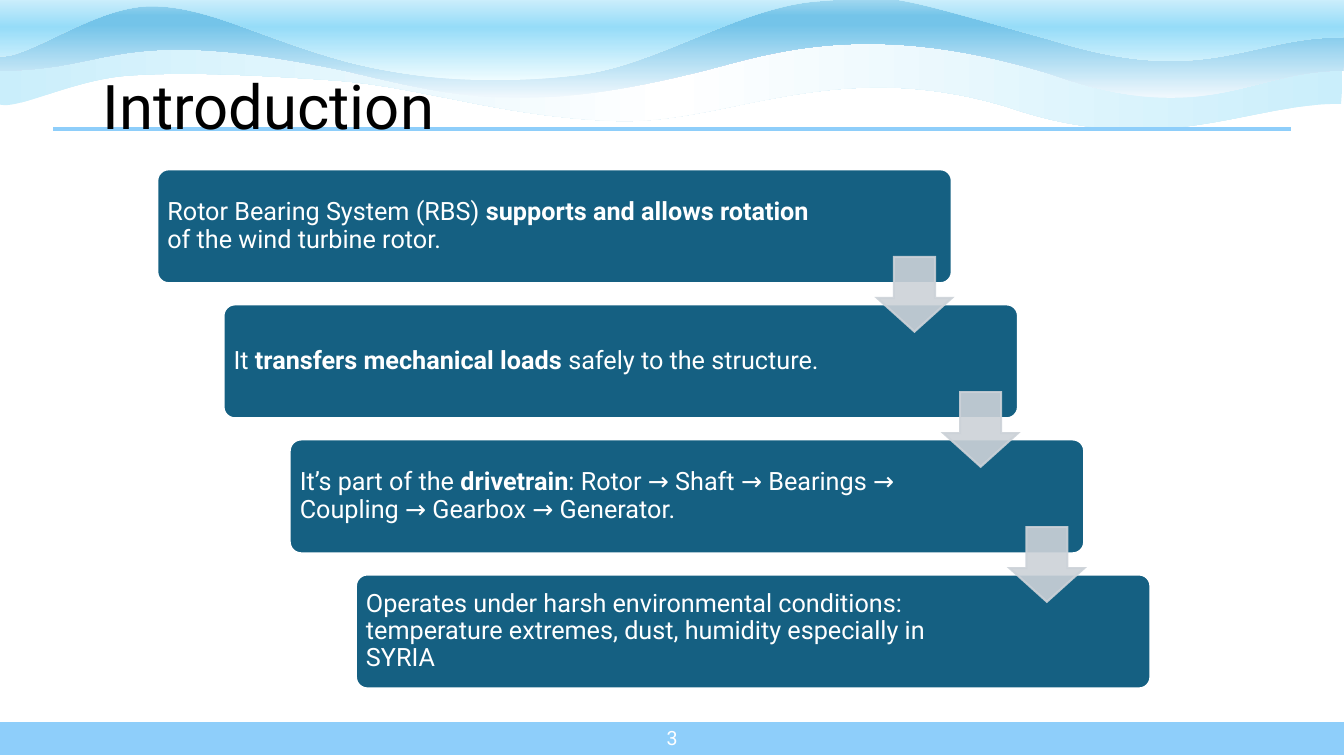
from dataclasses import dataclass

from lxml import etree
from pptx import Presentation
from pptx.dml.color import RGBColor
from pptx.enum.shapes import MSO_CONNECTOR, MSO_SHAPE
from pptx.enum.text import MSO_ANCHOR, PP_ALIGN
from pptx.oxml.ns import qn
from pptx.util import Inches, Pt

RECT = MSO_SHAPE.RECTANGLE
ROUNDED = MSO_SHAPE.ROUNDED_RECTANGLE
DOWN_ARROW = MSO_SHAPE.DOWN_ARROW
STRAIGHT = MSO_CONNECTOR.STRAIGHT
MIDDLE = MSO_ANCHOR.MIDDLE
LEFT, RIGHT = PP_ALIGN.LEFT, PP_ALIGN.RIGHT


@dataclass(frozen=True)
class Theme:
    font: str = "Roboto"
    ink: str = "000000"
    white: str = "FFFFFF"
    accent: str = "8ECEFA"
    step: str = "156082"
    arrow: str = "CCD2D8"
    title_size: int = 44
    step_size: int = 18
    number_size: int = 14
    outline: float = 1.5
    rule: float = 3


THEME = Theme()

# Each wave: box, start, Bezier curves along its lower edge, straight upper edge,
# gradient stops (percent, colour) and gradient angle.
WAVES = [
    ((-0.04, 0.3, 13.36, 0.98), (13.3, 1.03),
     [(12.37, 1.02, 11.52, 1.59, 9.99, 1.06), (8.27, 0.54, 7.21, 1.24, 6.1, 1.2),
      (4.99, 1.16, 4.21, 0.87, 3.35, 0.8), (2.49, 0.74, 1.83, 0.71, 1.27, 0.75),
      (0.71, 0.79, 0.14, 1.11, -0.02, 1.03), (-0.02, 0.8, -0.04, 0.53, -0.04, 0.3)],
     [(3.13, 0.31), (6.52, 0.34), (9.41, 0.32), (13.32, 0.34)],
     (13.32, 0.55, 13.32, 0.8, 13.3, 1.03),
     [(0, "CAEEFB"), (50, "FFFFFF"), (100, "CAEEFB")], 0),
    ((0, -0.01, 13.33, 0.98), (13.32, 0.7),
     [(12.39, 0.7, 11.96, 1.28, 10.44, 0.74), (8.71, 0.2, 7.73, 0.5, 7.06, 0.68),
      (5.28, 1.14, 4.59, 0.98, 3.46, 0.71), (1.13, 0.22, 1.15, 0.7, 0, 0.7),
      (0, 0.47, 0.01, 0.24, 0.01, 0)],
     [(3.13, 0.01), (6.54, -0.01), (9.46, 0), (13.33, 0.04)],
     (13.33, 0.26, 13.34, 0.47, 13.32, 0.7),
     [(0, "F0F8FD"), (74, "74C4E9"), (83, "74C4E9"), (100, "A2D8F0")], 90),
    ((-0.03, -0.26, 13.36, 1.06), (13.32, 0.37),
     [(12.39, 0.36, 11.96, 0.88, 10.44, 0.4), (8.72, -0.08, 8.91, -0.05, 8.13, 0.01),
      (7.35, 0.06, 6.53, 0.64, 5.76, 0.74), (4.98, 0.84, 4.24, 0.81, 3.47, 0.62),
      (2.58, 0.38, 2.07, 0.06, 1.5, 0.06), (0.92, 0.06, 0.22, 0.63, -0.03, 0.55),
      (-0.02, 0.34, 0.01, -0.04, 0.01, -0.25)],
     [(3.13, -0.24), (6.54, -0.26), (9.46, -0.25), (13.33, -0.22)],
     (13.33, -0.03, 13.34, 0.16, 13.32, 0.37),
     [(0, "EFFCFF"), (50, "96DCF8"), (100, "FFFFFF")], 90),
]

# Each step: (text, bold) runs and the width of its text.
STEPS = [
    ([("Rotor Bearing System (RBS) ", False), ("supports and allows rotation", True),
      (" of the wind turbine rotor.", False)], 6.56),
    ([("It ", False), ("transfers mechanical loads", True),
      (" safely to the structure.", False)], 6.42),
    ([("It’s part of the ", False), ("drivetrain", True),
      (": Rotor → Shaft → Bearings → Coupling → Gearbox → Generator.", False)], 6.42),
    ([("Operates under harsh environmental conditions: temperature extremes, dust, "
       "humidity especially in SYRIA", False)], 6.42),
]
STEP_DX, STEP_DY = 1.97 / 3, 1.34
STEP_INSET = 0.03


def fill_gradient(shape, stops, angle):
    shape.fill.gradient()
    gradient = shape._element.spPr.find(qn("a:gradFill"))
    gradient.set("rotWithShape", "1")
    for child in list(gradient):
        gradient.remove(child)
    stop_list = etree.SubElement(gradient, qn("a:gsLst"))
    for percent, color in stops:
        stop = etree.SubElement(stop_list, qn("a:gs"), pos=str(percent * 1000))
        etree.SubElement(stop, qn("a:srgbClr"), val=color)
    etree.SubElement(gradient, qn("a:lin"), ang=str(angle * 60000), scaled="0")


def draw_outline(wave, box, segments):
    """Give the wave its box and its outline, seen turned by half a circle."""
    left, top, width, height = box
    wave.left, wave.top, wave.width, wave.height = map(Inches, box)
    outline = next(wave._element.iter(qn("a:path")))
    outline.set("w", str(Inches(width)))
    outline.set("h", str(Inches(height)))
    for child in list(outline):
        outline.remove(child)
    for kind, values in segments:
        segment = etree.SubElement(outline, qn(kind))
        for x, y in zip(values[::2], values[1::2]):
            etree.SubElement(segment, qn("a:pt"), x=str(Inches(left + width - x)),
                             y=str(Inches(top + height - y)))
    etree.SubElement(outline, qn("a:close"))
    wave.rotation = 180


def add_wave(slide, box, start, curves, top_edge, right_edge, stops, angle):
    corners = [(Inches(x), Inches(y)) for x, y in [start] + top_edge]
    builder = slide.shapes.build_freeform(*corners[0])
    builder.add_line_segments(corners[1:], close=True)
    wave = builder.convert_to_shape()
    segments = [("a:moveTo", start)]
    segments += [("a:cubicBezTo", curve) for curve in curves]
    segments += [("a:lnTo", point) for point in top_edge]
    segments.append(("a:cubicBezTo", right_edge))
    draw_outline(wave, box, segments)
    wave.shadow.inherit = False
    wave.line.fill.background()
    fill_gradient(wave, stops, angle)


def add_block(slide, preset, box, fill, line, adjustments=()):
    block = slide.shapes.add_shape(preset, *map(Inches, box))
    block.shadow.inherit = False
    block.fill.solid()
    block.fill.fore_color.rgb = RGBColor.from_string(fill)
    block.line.color.rgb = RGBColor.from_string(line)
    block.line.width = Pt(THEME.outline)
    for index, value in enumerate(adjustments):
        block.adjustments[index] = value
    return block


def add_label(slide, box, runs, size, color, align=LEFT, spacing=None):
    frame = slide.shapes.add_textbox(*map(Inches, box)).text_frame
    frame.word_wrap = True
    frame.vertical_anchor = MIDDLE
    paragraph = frame.paragraphs[0]
    paragraph.alignment = align
    paragraph.line_spacing = spacing
    for text, bold in runs:
        run = paragraph.add_run()
        run.text = text
        formats = {"name": THEME.font, "size": Pt(size), "bold": bold}
        for key, value in formats.items():
            setattr(run.font, key, value)
        run.font.color.rgb = RGBColor.from_string(color)
    return frame


def add_rule(slide, left, right, y):
    rule = slide.shapes.add_connector(
        STRAIGHT, Inches(left), Inches(y), Inches(right), Inches(y))
    rule.line.color.rgb = RGBColor.from_string(THEME.accent)
    rule.line.width = Pt(THEME.rule)
    etree.SubElement(rule._element.spPr, qn("a:effectLst"))


def add_step(slide, index, runs, text_width):
    left, top = 1.56 + index * STEP_DX, 1.68 + index * STEP_DY
    add_block(slide, ROUNDED, (left, top, 7.88, 1.13), THEME.step, THEME.white, [0.1])
    text_box = (left + STEP_INSET, top + STEP_INSET, text_width, 1.07)
    frame = add_label(slide, text_box, runs, THEME.step_size, THEME.white, LEFT, 0.9)
    for side in ("left", "top", "right", "bottom"):
        setattr(frame, f"margin_{side}", Inches(0.07))


def add_step_arrow(slide, index):
    """Add a slightly see-through arrow from one step to the next."""
    box = (8.7 + index * STEP_DX, 2.55 + index * STEP_DY, 0.74, 0.74)
    arrow = add_block(slide, DOWN_ARROW, box, THEME.arrow, THEME.arrow, [0.55, 0.45])
    for color in arrow._element.spPr.iter(qn("a:srgbClr")):
        etree.SubElement(color, qn("a:alpha"), val="90000")
    etree.SubElement(arrow._element.spPr.find(qn("a:ln")), qn("a:miter"), lim="800000")


def main():
    deck = Presentation()
    deck.slide_width, deck.slide_height = Inches(13.33), Inches(7.5)
    slide = deck.slides.add_slide(deck.slide_layouts[6])
    for wave in WAVES:
        add_wave(slide, *wave)
    add_block(slide, RECT, (-0.01, 7.15, 13.35, 0.35), THEME.accent, THEME.white)
    add_label(slide, (6.51, 7.12, 0.31, 0.4), [("3", False)],
              THEME.number_size, THEME.white, RIGHT)
    add_rule(slide, 0.53, 12.8, 1.28)
    add_label(slide, (0.92, 0.36, 11.5, 1.45), [("Introduction", False)],
              THEME.title_size, THEME.ink, LEFT, 0.9)
    for index, (runs, text_width) in enumerate(STEPS):
        add_step(slide, index, runs, text_width)
    for index in range(len(STEPS) - 1):
        add_step_arrow(slide, index)
    deck.save("out.pptx")


if __name__ == "__main__":
    main()
